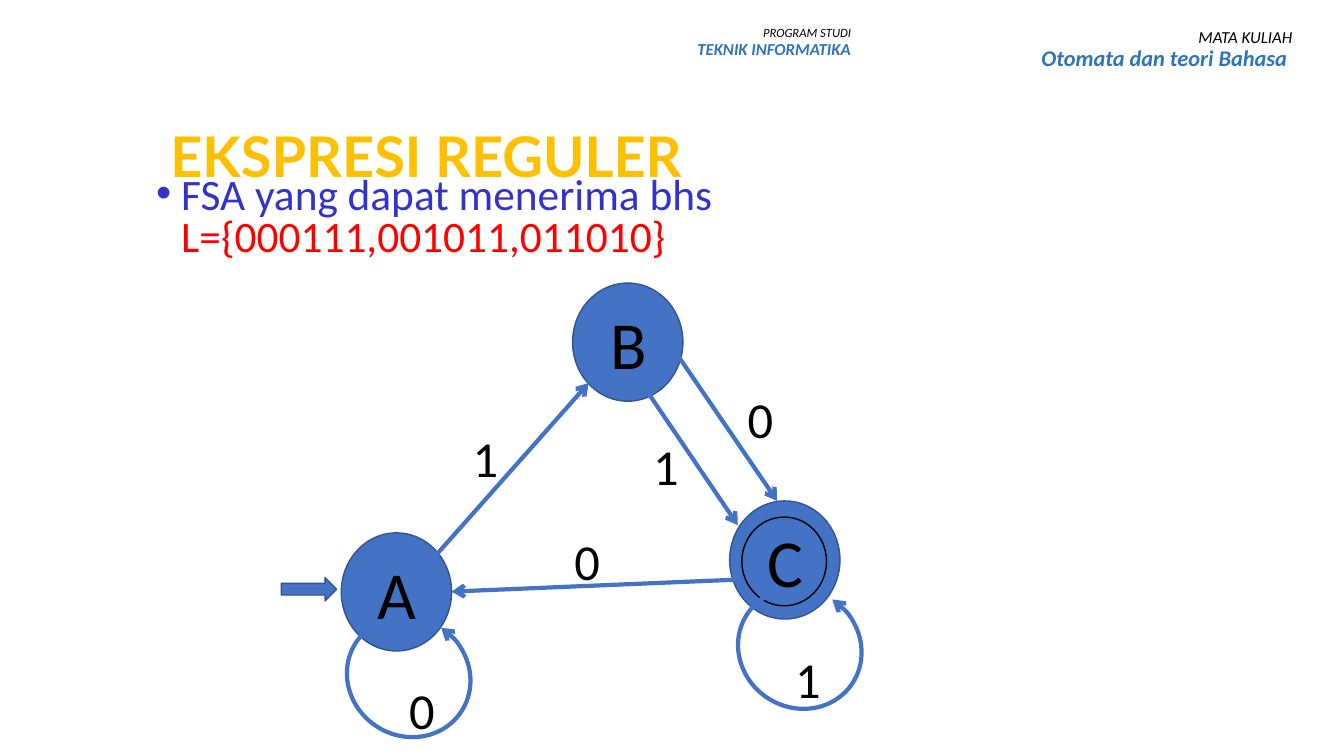
from dataclasses import dataclass

from lxml import etree
from pptx import Presentation
from pptx.dml.color import RGBColor
from pptx.enum.shapes import MSO_CONNECTOR, MSO_SHAPE
from pptx.enum.text import MSO_ANCHOR, MSO_AUTO_SIZE, PP_ALIGN
from pptx.oxml.ns import qn
from pptx.util import Pt

BLACK = RGBColor(0x00, 0x00, 0x00)
BLUE = RGBColor(0x44, 0x72, 0xC4)
DARK_BLUE = RGBColor(0x32, 0x54, 0x91)
HEADER_BLUE = RGBColor(0x2E, 0x75, 0xB6)
GOLD = RGBColor(0xFF, 0xC0, 0x00)
INDIGO = RGBColor(0x33, 0x33, 0xCC)
RED = RGBColor(0xFF, 0x00, 0x00)

ELLIPSE, RIGHT_ARROW, ARC = MSO_SHAPE.OVAL, MSO_SHAPE.RIGHT_ARROW, MSO_SHAPE.ARC
STRAIGHT = MSO_CONNECTOR.STRAIGHT
LEFT, CENTER, RIGHT = PP_ALIGN.LEFT, PP_ALIGN.CENTER, PP_ALIGN.RIGHT
MIDDLE = MSO_ANCHOR.MIDDLE
GROW = MSO_AUTO_SIZE.SHAPE_TO_FIT_TEXT

STATE_SIZE = (78.8, 84.4)
LOOP_SIZE = (84.2, 90)
LABEL_SIZE = (39.6, 51)


@dataclass
class Span:
    text: str
    size: float
    color: RGBColor = BLACK
    bold: bool = False
    italic: bool = False
    font: str = "Calibri"


@dataclass
class State:
    name: str
    left: float
    top: float
    accepting: bool = False


@dataclass
class Edge:
    start: tuple[float, float]
    end: tuple[float, float]


@dataclass
class Label:
    symbol: str
    left: float
    top: float


STATES = [
    State("B", 409, 202.2),
    State("C", 521.2, 357.8, accepting=True),
    State("A", 243.8, 380.6),
]
EDGES = [
    Edge((302.4, 406.8), (420.5, 273.6)),
    Edge((454.3, 267.8), (527, 375.1)),
    Edge((482.4, 251.3), (555.1, 357.8)),
    Edge((527, 414), (322.6, 422.6)),
]
LABELS = [
    Label("1", 330.5, 301.7),
    Label("1", 459.4, 307.4),
    Label("0", 527, 273.6),
    Label("0", 403.2, 375.1),
    Label("0", 285.1, 481.7),
    Label("1", 560.9, 459.4),
]
LOOPS = [(529.2, 418.3), (249.8, 438.5)]


def add_text(shapes, left: float, top: float, width: float, height: float,
             paragraphs: list[list[Span]], align=LEFT, spacing: float = 1.0):
    box = shapes.add_textbox(Pt(left), Pt(top), Pt(width), Pt(height))
    frame = box.text_frame
    frame.word_wrap = True
    for index, spans in enumerate(paragraphs):
        para = frame.add_paragraph() if index else frame.paragraphs[0]
        para.alignment = align
        para.line_spacing = spacing
        for span in spans:
            run = para.add_run()
            run.text = span.text
            run.font.name = span.font
            run.font.size = Pt(span.size)
            run.font.bold = span.bold
            run.font.italic = span.italic
            run.font.color.rgb = span.color
    return box


def add_figure(shapes, kind, left: float, top: float, width: float, height: float,
               fill: RGBColor | None, line: RGBColor, weight: float = 1):
    figure = shapes.add_shape(kind, Pt(left), Pt(top), Pt(width), Pt(height))
    figure.shadow.inherit = False
    if fill is None:
        figure.fill.background()
    else:
        figure.fill.solid()
        figure.fill.fore_color.rgb = fill
    figure.line.color.rgb = line
    figure.line.width = Pt(weight)
    return figure


def add_arrowhead(item) -> None:
    etree.SubElement(item.line._get_or_add_ln(), qn("a:tailEnd"), type="arrow")


def add_edge(shapes, edge: Edge) -> None:
    points = [Pt(value) for value in (*edge.start, *edge.end)]
    connector = shapes.add_connector(STRAIGHT, *points)
    connector.line.color.rgb = BLUE
    connector.line.width = Pt(3)
    add_arrowhead(connector)
    etree.SubElement(connector.element.spPr, qn("a:effectLst"))


def add_loop(shapes, left: float, top: float) -> None:
    """Draw the arrow of a transition from a state to itself."""
    loop = add_figure(shapes, ARC, left, top, *LOOP_SIZE, None, BLUE, 3)
    # Arc angles are in 1/60000 degree, adjustments in 1/100000.
    loop.adjustments[0] = 51.788 * 0.6
    loop.adjustments[1] = 0
    loop.rotation = 123.4
    loop.element.spPr.find(qn("a:xfrm")).set("flipH", "1")
    add_arrowhead(loop)


def add_state(shapes, state: State) -> None:
    members = shapes.add_group_shape().shapes
    add_figure(members, ELLIPSE, state.left, state.top, *STATE_SIZE, BLUE, DARK_BLUE)
    name = add_text(members, state.left + 11.8, state.top + 10, 56.2, 65.4,
                    [[Span(state.name, 48)]], CENTER)
    name.text_frame.auto_size = GROW
    if state.accepting:
        add_figure(members, ELLIPSE, state.left + 8.7, state.top + 11.5, 60.5, 63.4,
                   None, BLACK)


def add_headings(shapes) -> None:
    title = add_text(shapes, 121.7, 81.4, 767.5, 64,
                     [[Span("EKSPRESI REGULER", 40, GOLD, bold=True, font="Lato")]],
                     spacing=0.9)
    frame = title.text_frame
    frame.vertical_anchor = MIDDLE
    frame.margin_left = frame.margin_right = frame.margin_bottom = 0
    frame.margin_top = Pt(0.7)

    add_text(shapes, 434.2, 15.8, 180.7, 40.3, [
        [Span("PROGRAM STUDI", 9, italic=True)],
        [Span("TEKNIK INFORMATIKA", 12, HEADER_BLUE, bold=True, italic=True)],
    ], RIGHT, 0.9)
    add_text(shapes, 659.5, 17.3, 270.7, 53.3, [
        [Span("MATA KULIAH", 12, italic=True)],
        [Span("Otomata dan teori Bahasa ", 16, HEADER_BLUE, bold=True, italic=True)],
    ], RIGHT, 0.9)

    statement = add_text(shapes, 104.4, 123.1, 698.4, 67, [[
        Span("FSA yang dapat menerima bhs ", 31, INDIGO),
        Span("L={000111,001011,011010}", 31, RED),
    ]], spacing=0.8)
    properties = statement.text_frame.paragraphs[0]._p.get_or_add_pPr()
    properties.set("marL", str(Pt(18)))
    properties.set("indent", str(-Pt(18)))
    etree.SubElement(properties, qn("a:buFont"), typeface="Arial")
    etree.SubElement(properties, qn("a:buChar"), char="•")


def main() -> None:
    deck = Presentation()
    deck.slide_width, deck.slide_height = Pt(960), Pt(540)
    page = deck.slides.add_slide(deck.slide_layouts[6])
    shapes = page.shapes
    add_headings(shapes)
    add_figure(shapes, RIGHT_ARROW, 200.9, 412.6, 39.6, 16.6, BLUE, DARK_BLUE)
    for state in STATES:
        add_state(shapes, state)
    for edge in EDGES:
        add_edge(shapes, edge)
    for left, top in LOOPS:
        add_loop(shapes, left, top)
    for label in LABELS:
        box = add_text(shapes, label.left, label.top, *LABEL_SIZE,
                       [[Span(label.symbol, 36)]])
        box.text_frame.auto_size = GROW
    deck.save("out.pptx")


if __name__ == "__main__":
    main()
